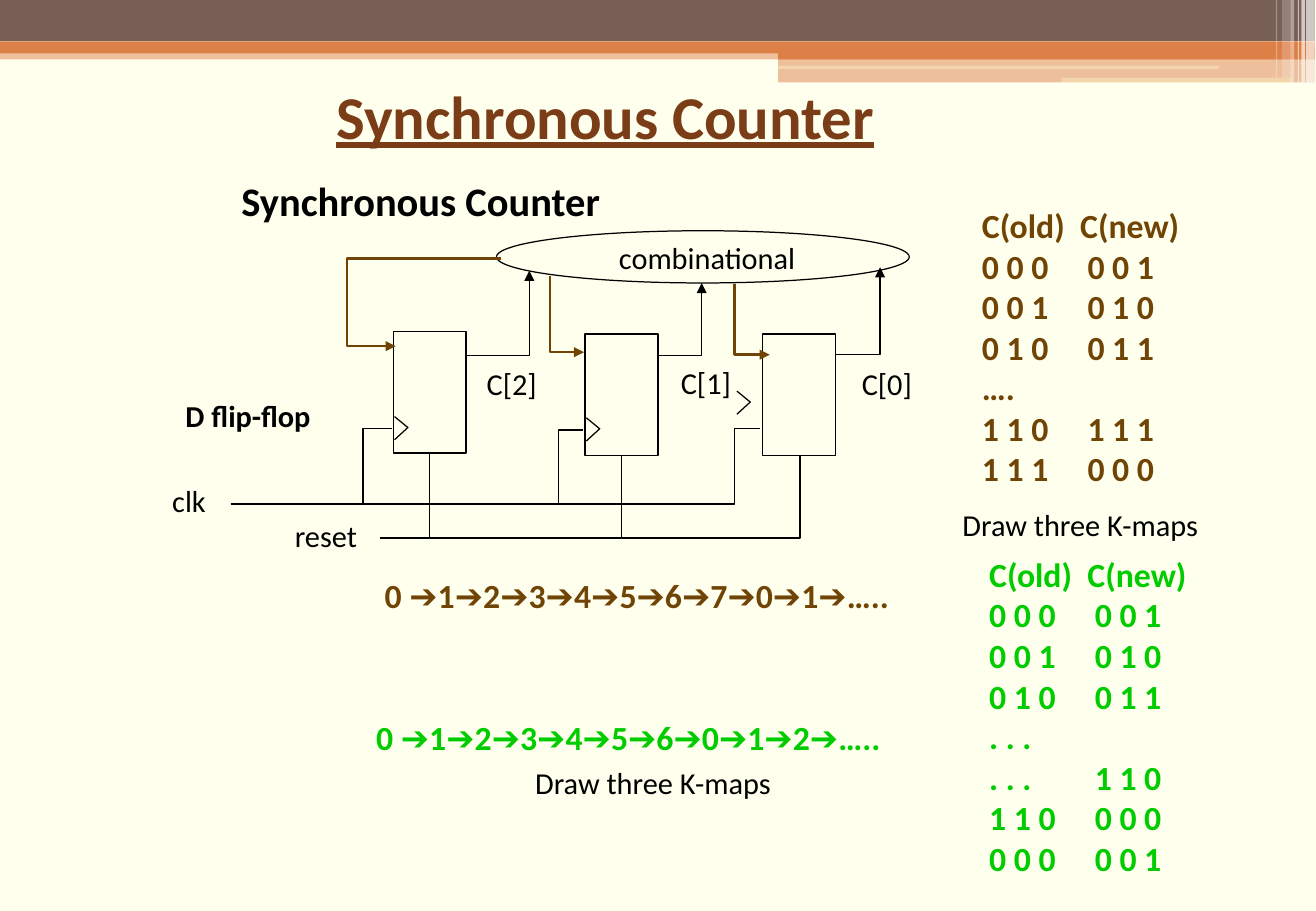
from lxml import etree
from pptx import Presentation
from pptx.dml.color import RGBColor
from pptx.enum.shapes import MSO_CONNECTOR, MSO_SHAPE
from pptx.enum.text import MSO_ANCHOR, MSO_AUTO_SIZE, PP_ALIGN
from pptx.oxml.ns import qn
from pptx.util import Pt

RECT, ROUND, OVAL = MSO_SHAPE.RECTANGLE, MSO_SHAPE.ROUNDED_RECTANGLE, MSO_SHAPE.OVAL
STRAIGHT = MSO_CONNECTOR.STRAIGHT
MIDDLE, LEFT, NO_FIT = MSO_ANCHOR.MIDDLE, PP_ALIGN.LEFT, MSO_AUTO_SIZE.NONE
PX = 9144
FONT = "Calibri"
BLACK, BROWN, GREEN = "000000", "704404", "00CC00"
CREAM, ORANGE, TAUPE, WHITE = "FFFFCC", "DD8047", "775F55", "FFFFFF"
rgb = RGBColor.from_string

prs = Presentation()
prs.slide_width, prs.slide_height = 1084 * PX, 750 * PX
s = prs.slides.add_slide(prs.slide_layouts[5])
s.background.fill.solid()
s.background.fill.fore_color.rgb = rgb("FFFFEE")


def add_text(x, y, w, h, lines, size=18, color=BLACK, bold=False):
    tf = s.shapes.add_textbox(x * PX, y * PX, w * PX, h * PX).text_frame
    tf.word_wrap = True
    for i, line in enumerate(lines):
        p = tf.paragraphs[0] if i == 0 else tf.add_paragraph()
        if "\t" in line:
            tabs = etree.SubElement(p._p.get_or_add_pPr(), qn("a:tabLst"))
            stop = 81 if i == 0 else 87
            etree.SubElement(tabs, qn("a:tab"), pos=str(stop * PX), algn="l")
        for part in line.replace("➔", "|➔|").split("|"):
            r = p.add_run()
            r.text = part
            r.font.name = "Arial" if part == "➔" else FONT
            r.font.size, r.font.bold = Pt(size), bold
            r.font.color.rgb = rgb(color)
    return tf


def add_wire(points, color=BLACK, weight=0.75, arrow=False):
    builder = s.shapes.build_freeform(*points[0], scale=PX)
    builder.add_line_segments(points[1:], close=False)
    sp = builder.convert_to_shape()
    sp.shadow.inherit = False
    sp.fill.background()
    sp.line.color.rgb = rgb(color)
    sp.line.width = Pt(weight)
    if arrow:
        etree.SubElement(sp.line._get_or_add_ln(), qn("a:tailEnd"), type="triangle")


bands = [
    (RECT, 0, 40, 1083, 9, ORANGE, 50),
    (RECT, 0, 0, 1083, 34, TAUPE, 100),
    (RECT, 0, 34, 1083, 10, ORANGE, 100),
    (RECT, 641, 39, 442, 10, ORANGE, 100),
    (RECT, 641, 48, 442, 20, ORANGE, 50),
    (ROUND, 641, 54, 363, 3, CREAM, 34),
    (ROUND, 874, 64, 190, 4, CREAM, 34),
    (RECT, 1076, 0, 7, 68, WHITE, 65),
    (RECT, 1072, 0, 3, 68, WHITE, 65),
    (RECT, 1069, 0, 1, 68, WHITE, 60),
    (RECT, 1063, 0, 3, 68, WHITE, 40),
    (RECT, 1056, 0, 7, 64, WHITE, 20),
    (RECT, 1051, 0, 1, 64, WHITE, 30),
]
for kind, x, y, w, h, color, alpha in bands:
    sp = s.shapes.add_shape(kind, x * PX, y * PX, w * PX, h * PX)
    sp.shadow.inherit = False
    sp.line.fill.background()
    sp.fill.solid()
    sp.fill.fore_color.rgb = rgb(color)
    if alpha < 100:
        clr = sp.fill._xPr.find(qn("a:solidFill"))[0]
        etree.SubElement(clr, qn("a:alpha"), val=str(alpha * 1000))

title = s.shapes.title
title.left, title.top, title.width, title.height = 255 * PX, 50 * PX, 577 * PX, 89 * PX
tf = title.text_frame
tf.text = "Synchronous Counter"
tf.word_wrap, tf.auto_size, tf.vertical_anchor = True, NO_FIT, MIDDLE
p = tf.paragraphs[0]
p.alignment = LEFT
pPr = p._p.get_or_add_pPr()
pPr.set("marL", str(40 * PX))
pPr.set("indent", str(-28 * PX))
r = p.runs[0]
r.font.name, r.font.size = FONT, Pt(36)
r.font.bold = r.font.underline = True
r.font.color.rgb = rgb("7B3D17")

heading = add_text(189, 136, 325, 54, ["Synchronous Counter"], 24, bold=True)
heading.paragraphs[0].line_spacing = 1.1

outlines = []
for kind, x, y, w, h in [
    (RECT, 324, 273, 60, 100),
    (RECT, 482, 275, 60, 100),
    (RECT, 628, 275, 60, 100),
    (OVAL, 409, 190, 340, 43),
]:
    sp = s.shapes.add_shape(kind, x * PX, y * PX, w * PX, h * PX)
    sp.shadow.inherit = False
    sp.fill.background()
    sp.line.color.rgb = rgb(BLACK)
    sp.line.width = Pt(0.75)
    outlines.append(sp)

for x, y in [(325, 343), (483, 344), (607, 322)]:
    add_wire([(x, y), (x + 11, y + 9), (x, y + 19)])

clock_and_reset = [
    [(190, 415), (605, 415), (605, 353), (626, 353)],
    [(480, 354), (460, 354), (460, 415)],
    [(323, 353), (299, 353), (299, 415)],
    [(313, 443), (659, 443), (659, 375)],
]
for points in clock_and_reset:
    add_wire(points)

for flip_flop, x, y in [(outlines[0], 354, 442), (outlines[1], 512, 443)]:
    line = s.shapes.add_connector(STRAIGHT, x * PX, 373 * PX, x * PX, y * PX)
    line.begin_connect(flip_flop, 2)
    line.line.color.rgb = rgb(BLACK)
    line.line.width = Pt(0.75)
    etree.SubElement(line._element.spPr, qn("a:effectLst"))

outputs = [(385, 436, 293, 223), (543, 578, 293, 233), (689, 725, 292, 220)]
for x1, x2, y1, y2 in outputs:
    add_wire([(x1, y1), (x2, y1), (x2, y2)], arrow=True)

inputs = [
    [(413, 213), (286, 213), (286, 285), (326, 285)],
    [(453, 227), (453, 290), (481, 290)],
    [(605, 234), (605, 292), (634, 292)],
]
for points in inputs:
    add_wire(points, BROWN, 1.5, arrow=True)

labels = [
    (132, 392, 55, "clk"),
    (233, 421, 78, "reset"),
    (500, 192, 172, "combinational"),
    (391, 296, 68, "C[2]"),
    (551, 295, 68, "C[1]"),
    (700, 296, 68, "C[0]"),
    (783, 412, 224, "Draw three K-maps"),
    (431, 624, 224, "Draw three K-maps"),
]
for x, y, w, label in labels:
    add_text(x, y, w, 40, [label])
add_text(143, 322, 130, 40, ["D flip-flop"], bold=True)

first_rows = ["C(old)\tC(new)", "0 0 0\t0 0 1", "0 0 1\t0 1 0", "0 1 0\t0 1 1"]
modulo_8 = first_rows + ["….", "1 1 0\t1 1 1", "1 1 1\t0 0 0"]
modulo_7 = first_rows + [". . .", ". . .\t1 1 0", "1 1 0\t0 0 0", "0 0 0\t0 0 1"]
for x, y, w, h, lines, color in [
    (799, 164, 190, 244, modulo_8, BROWN),
    (805, 451, 190, 277, modulo_7, GREEN),
    (307, 468, 480, 44, ["0 ➔1➔2➔3➔4➔5➔6➔7➔0➔1➔….."], BROWN),
    (300, 585, 480, 44, ["0 ➔1➔2➔3➔4➔5➔6➔0➔1➔2➔….."], GREEN),
]:
    add_text(x, y, w, h, lines, 20, color, True)

prs.save("out.pptx")
